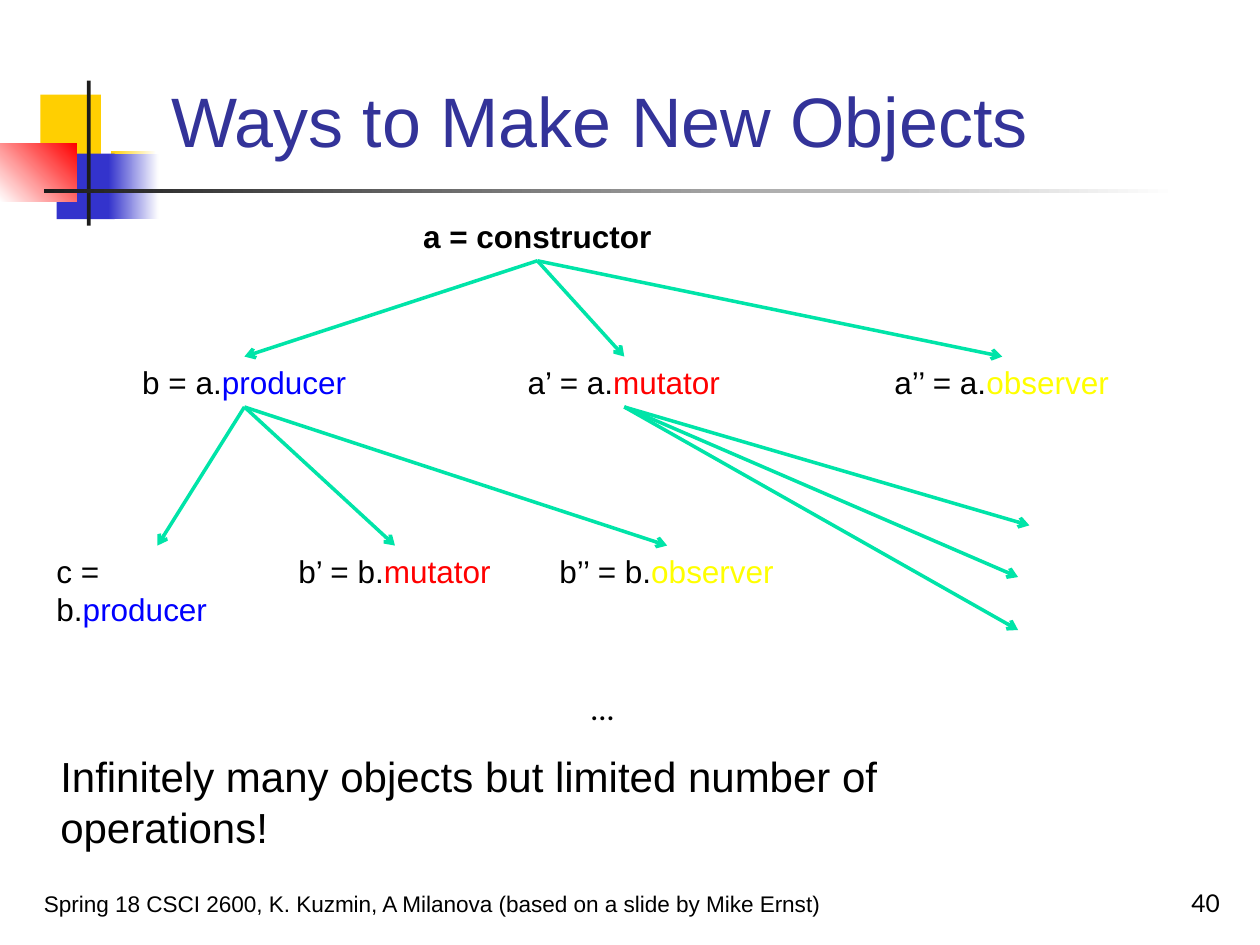
from typing import NamedTuple

from pptx import Presentation
from pptx.dml.color import RGBColor
from pptx.enum.shapes import MSO_CONNECTOR, MSO_SHAPE
from pptx.enum.text import MSO_ANCHOR, MSO_AUTO_SIZE, PP_ALIGN
from pptx.oxml.ns import qn
from pptx.util import Inches, Pt
from lxml.etree import SubElement

BLACK, GREEN = "000000", "00E4A8"
BLUE, RED, YELLOW = "0000FF", "FF0000", "FFFF00"
TOP, BOTTOM = 0, 2


class Bar(NamedTuple):
    left: float
    top: float
    width: float
    height: float
    color: str
    end: str = ""
    angle: float = 0


class Node(NamedTuple):
    name: str
    left: float
    top: float
    width: float
    text: str
    operation: str = ""
    color: str = BLACK


BARS = [
    Bar(0.32, 0.75, 0.48, 0.52, "FFCF01"),
    Bar(0.88, 1.2, 0.36, 0.52, "FFCF01", "FFFFFF"),
    Bar(0.45, 1.22, 0.46, 0.52, "3333CC"),
    Bar(0.86, 1.22, 0.4, 0.52, "3333CC", "FFFFFF"),
    Bar(0, 1.14, 0.61, 0.46, "FFFFFF", "FF0000", 45),
    Bar(0.69, 0.64, 0.03, 1.15, "1C1C1C"),
    Bar(0.35, 1.5, 9, 0.03, "1C1C1C", "FFFFFF"),
]
NODES = [
    Node("a", 3.26, 1.67, 2.01, "a = constructor"),
    Node("b", 1.03, 2.83, 1.82, "b = a.", "producer", BLUE),
    Node("a'", 4.09, 2.83, 1.73, "a’ = a.", "mutator", RED),
    Node("a''", 7, 2.83, 1.91, "a’’ = a.", "observer", YELLOW),
    Node("c", 0.35, 4.33, 1.8, "c = b.", "producer", BLUE),
    Node("b'", 2.27, 4.33, 1.73, "b’ = b.", "mutator", RED),
    Node("b''", 4.34, 4.33, 1.91, "b’’ = b.", "observer", YELLOW),
]
CHILDREN = {"a": ["b", "a'", "a''"], "b": ["c", "b'", "b''"]}
OPEN_ENDS = [(8.08, 5), (8.08, 4.58), (8.17, 4.17)]


def rgb(color: str) -> RGBColor:
    return RGBColor.from_string(color)


def add_run(p, text: str, *, size=18, font="Arial", color=BLACK, bold=False):
    r = p.add_run()
    r.text = text
    r.font.size, r.font.name, r.font.bold = Pt(size), font, bold
    r.font.color.rgb = rgb(color)


def add_text(s, text: str, left: float, top: float, width: float, height=0.4, *,
             wrap=False, anchor=MSO_ANCHOR.TOP, align=PP_ALIGN.LEFT, spacing=1.0, **style):
    sp = s.shapes.add_textbox(Inches(left), Inches(top), Inches(width), Inches(height))
    tf = sp.text_frame
    tf.word_wrap, tf.vertical_anchor = wrap, anchor
    tf.auto_size = MSO_AUTO_SIZE.NONE if wrap else MSO_AUTO_SIZE.SHAPE_TO_FIT_TEXT
    p = tf.paragraphs[0]
    p.alignment, p.line_spacing = align, spacing
    add_run(p, text, **style)
    return sp


def add_bar(s, bar: Bar):
    sp = s.shapes.add_shape(MSO_SHAPE.RECTANGLE, *map(Inches, bar[:4]))
    sp.shadow.inherit = False
    sp.line.fill.background()
    if bar.end:
        sp.fill.gradient()
        sp.fill.gradient_angle = bar.angle
        for stop, color in zip(sp.fill.gradient_stops, (bar.color, bar.end)):
            stop.color.rgb = rgb(color)
    else:
        sp.fill.solid()
        sp.fill.fore_color.rgb = rgb(bar.color)


def add_node(s, node: Node):
    sp = add_text(s, node.text, node.left, node.top, node.width, bold=not node.operation)
    if node.operation:
        add_run(sp.text_frame.paragraphs[0], node.operation, color=node.color)
    return sp


def add_arrow(s, parent, child=None, end=(0.0, 0.0)):
    x, y = map(Inches, end)
    line = s.shapes.add_connector(MSO_CONNECTOR.STRAIGHT, x, y, x, y)
    line.begin_connect(parent, BOTTOM)
    if child is not None:
        line.end_connect(child, TOP)
    line.line.color.rgb = rgb(GREEN)
    line.line.width = Pt(2)
    SubElement(line.line._get_or_add_ln(), qn("a:tailEnd"), type="arrow")
    SubElement(line._element.spPr, qn("a:effectLst"))


def add_title(s, text: str):
    sp = s.shapes.title
    sp.left, sp.top, sp.width, sp.height = map(Inches, (1.26, 0.23, 8.52, 1.1))
    tf = sp.text_frame
    tf.vertical_anchor, tf.auto_size = MSO_ANCHOR.BOTTOM, MSO_AUTO_SIZE.NONE
    tf.paragraphs[0].alignment = PP_ALIGN.LEFT
    add_run(tf.paragraphs[0], text, size=40, color="333399")


def main():
    """Build the slide on ways to make new objects."""
    prs = Presentation()
    prs.slide_width, prs.slide_height = Inches(10), Inches(7.5)
    s = prs.slides.add_slide(prs.slide_layouts[5])
    for bar in BARS:
        add_bar(s, bar)
    add_title(s, "Ways to Make New Objects")
    add_text(s, "Spring 18 CSCI 2600, K. Kuzmin, A Milanova (based on a slide by Mike Ernst)",
             0.25, 7, 8.25, 0.33, wrap=True, anchor=MSO_ANCHOR.BOTTOM, spacing=0.9, size=12.9)
    add_text(s, "40", 7.7, 6.83, 2.08, 0.5, wrap=True, anchor=MSO_ANCHOR.BOTTOM,
             align=PP_ALIGN.RIGHT, size=14, font="Lato")
    boxes = {node.name: add_node(s, node) for node in NODES}
    for parent, children in CHILDREN.items():
        for child in children:
            add_arrow(s, boxes[parent], boxes[child])
    for end in OPEN_ENDS:
        add_arrow(s, boxes["a'"], end=end)
    add_text(s, "…", 4.59, 5.42, 0.4, font="Lato")
    add_text(s, "Infinitely many objects but limited number of operations!",
             0.38, 5.91, 8.42, 0.5, size=24)
    prs.save("out.pptx")


if __name__ == "__main__":
    main()
